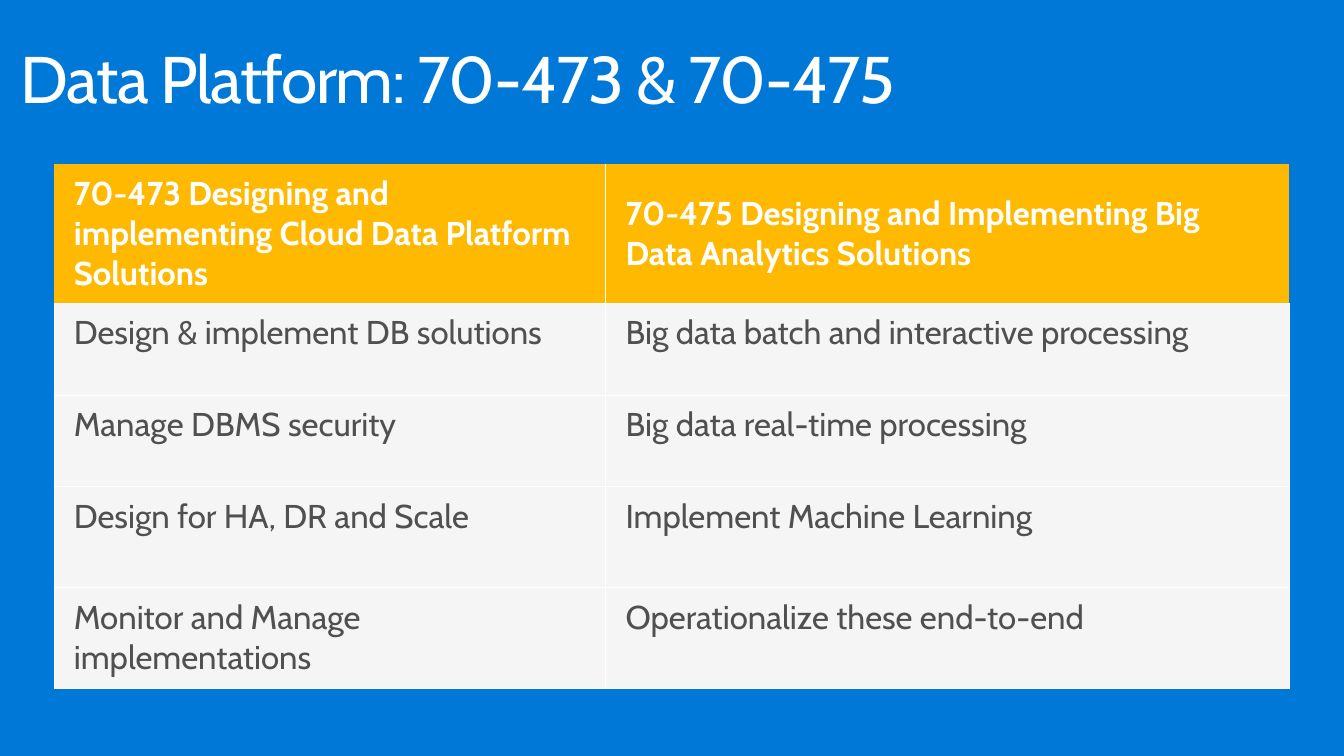
from lxml.etree import SubElement
from pptx import Presentation
from pptx.dml.color import RGBColor
from pptx.enum.text import MSO_ANCHOR as Anchor
from pptx.oxml.ns import qn
from pptx.util import Pt

FONT = "Cabin"
BLUE, AMBER, PALE, WHITE, GREY = "0078D7", "FFB900", "F5F5F5", "FFFFFF", "505050"
COLUMN_WIDTHS = [402, 498]
ROW_HEIGHTS = [101.3, 67, 67, 73.3, 73.3]
EXAM_TOPICS = [
    ("70-473 Designing and implementing Cloud Data Platform Solutions",
     "70-475 Designing and Implementing Big Data Analytics Solutions"),
    ("Design & implement DB solutions", "Big data batch and interactive processing"),
    ("Manage DBMS security", "Big data real-time processing"),
    ("Design for HA, DR and Scale", "Implement Machine Learning"),
    ("Monitor and Manage implementations", "Operationalize these end-to-end"),
]


def paint(fill, color):
    fill.solid()
    fill.fore_color.rgb = RGBColor.from_string(color)


def style_text(para, size, color, bold=False):
    for span in para.runs:
        span.font.name = FONT
        span.font.size = Pt(size)
        span.font.bold = bold
        paint(span.font.fill, color)


def set_margins(target, side, vertical):
    target.margin_left = target.margin_right = Pt(side)
    target.margin_top = target.margin_bottom = Pt(vertical)


def set_borders(cell, visible_sides):
    properties = cell._tc.get_or_add_tcPr()
    for side in "LRTB":
        line = SubElement(properties, qn(f"a:ln{side}"), w=str(Pt(0.75)))
        if side in visible_sides:
            fill = SubElement(line, qn("a:solidFill"))
            SubElement(fill, qn("a:srgbClr"), val=WHITE)
        else:
            SubElement(line, qn("a:noFill"))


def add_title(page, text):
    box = page.shapes.add_textbox(Pt(3.6), Pt(26.6), Pt(936), Pt(92.9))
    frame = box.text_frame
    frame.word_wrap = True
    set_margins(frame, 11.5, 7.2)
    frame.text = text
    para = frame.paragraphs[0]
    para.line_spacing = 0.9
    style_text(para, 48, WHITE)
    for span in para.runs:
        span.font._element.set("spc", "-100")


def fill_cell(cell, text, is_header, is_first_column):
    cell.text_frame.text = text
    set_margins(cell, 14.4, 7.2)
    cell.vertical_anchor = Anchor.MIDDLE if is_header else Anchor.TOP
    style_text(cell.text_frame.paragraphs[0], 24,
               WHITE if is_header else GREY, is_header)
    header_sides = "RB" if is_first_column else "LB"
    set_borders(cell, header_sides if is_header else "LRTB")
    paint(cell.fill, AMBER if is_header else PALE)


def add_topic_table(page):
    table = page.shapes.add_table(
        len(ROW_HEIGHTS), len(COLUMN_WIDTHS), Pt(39.4), Pt(119.5),
        Pt(sum(COLUMN_WIDTHS)), Pt(sum(ROW_HEIGHTS))).table
    table.horz_banding = False
    for column, width in zip(table.columns, COLUMN_WIDTHS):
        column.width = Pt(width)
    for row, height in zip(table.rows, ROW_HEIGHTS):
        row.height = Pt(height)
    for row_index, topics in enumerate(EXAM_TOPICS):
        for column_index, topic in enumerate(topics):
            fill_cell(table.cell(row_index, column_index), topic,
                      row_index == 0, column_index == 0)


def main():
    deck = Presentation()
    deck.slide_width, deck.slide_height = Pt(979.2), Pt(550.8)
    page = deck.slides.add_slide(deck.slide_layouts[6])
    paint(page.background.fill, BLUE)
    add_title(page, "Data Platform: 70-473 & 70-475")
    add_topic_table(page)
    deck.save("out.pptx")


if __name__ == "__main__":
    main()
